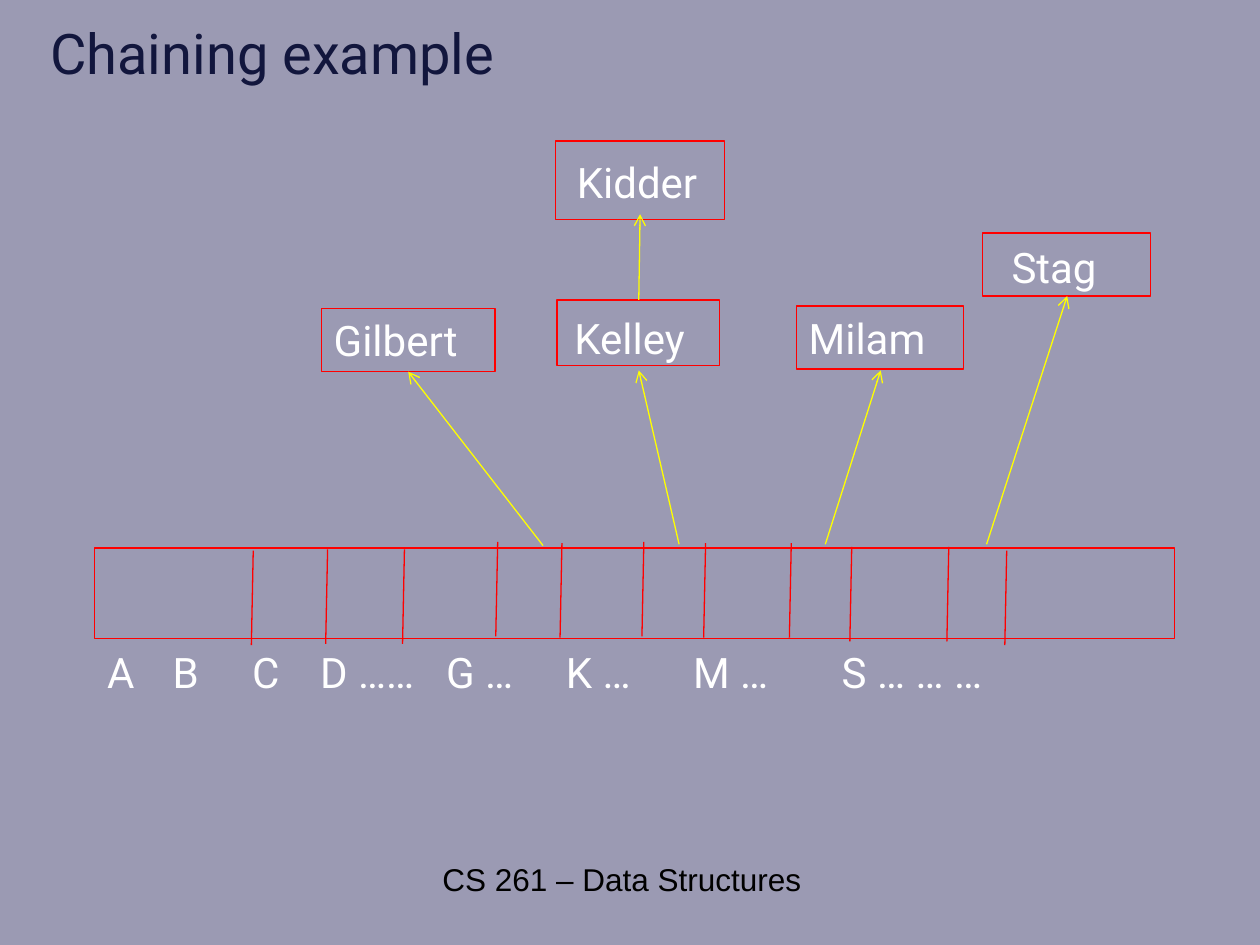
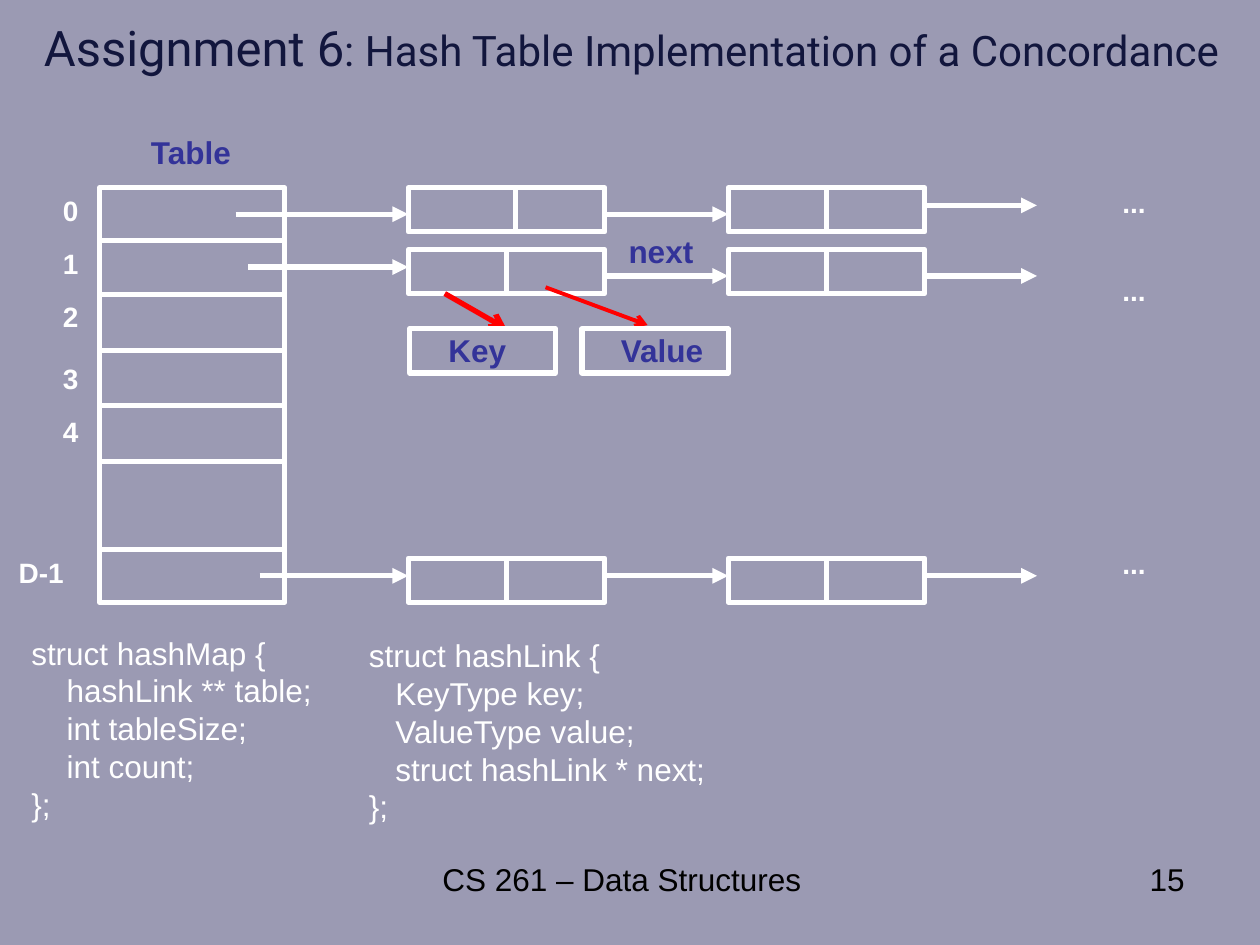
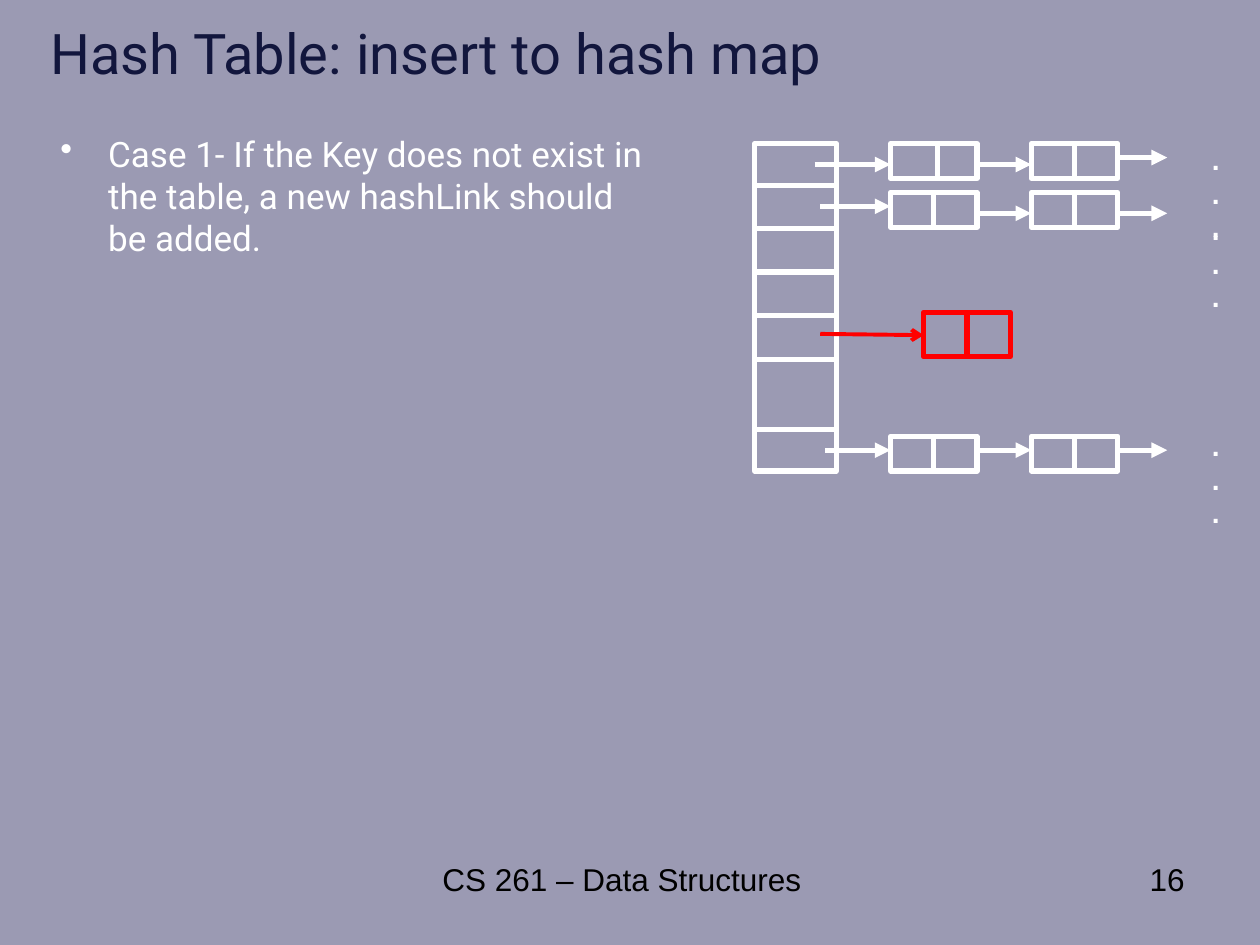
from dataclasses import dataclass

from lxml import etree
from pptx import Presentation
from pptx.dml.color import RGBColor
from pptx.enum.shapes import MSO_CONNECTOR, MSO_SHAPE
from pptx.enum.text import MSO_ANCHOR, PP_ALIGN
from pptx.oxml.ns import qn
from pptx.util import Inches, Pt

RECTANGLE = MSO_SHAPE.RECTANGLE
STRAIGHT = MSO_CONNECTOR.STRAIGHT
TOP, MIDDLE = MSO_ANCHOR.TOP, MSO_ANCHOR.MIDDLE
LEFT, CENTER, RIGHT = PP_ALIGN.LEFT, PP_ALIGN.CENTER, PP_ALIGN.RIGHT


@dataclass(frozen=True)
class Theme:
    background: str = "9B9AB3"
    navy: str = "12163D"
    indigo: str = "333399"
    white: str = "FFFFFF"
    black: str = "000000"
    red: str = "FF0000"
    yellow: str = "FFFF00"
    heading_font: str = "Roboto"
    plain_font: str = "Arial"
    title_size: float = 32
    long_title_size: float = 28
    name_size: float = 24
    body_size: float = 20
    text_size: float = 18
    label_size: float = 16
    thin: float = 0.75
    medium: float = 2.25
    thick: float = 3


THEME = Theme()


def style(font, size, color, bold=False):
    return {"name": font, "size": Pt(size), "bold": bold, "color": color}


TITLE = style(THEME.heading_font, THEME.title_size, THEME.navy)
LONG_TITLE = style(THEME.heading_font, THEME.long_title_size, THEME.navy)
SUBTITLE = style(THEME.heading_font, THEME.name_size, THEME.navy)
NAME = style(THEME.heading_font, THEME.name_size, THEME.white)
BODY = style(THEME.heading_font, THEME.body_size, THEME.white)
FOOTER = style(THEME.plain_font, THEME.text_size, THEME.black)
CODE = style(THEME.plain_font, THEME.text_size, THEME.white)
TERM = style(THEME.plain_font, THEME.text_size, THEME.indigo, True)
LABEL = style(THEME.plain_font, THEME.label_size, THEME.white, True)


@dataclass(frozen=True)
class Frame:
    left: float = 0.79
    top: float = 1.49
    scale_x: float = 1
    scale_y: float = 1

    def x(self, value):
        return self.left + (value - 0.79) * self.scale_x

    def y(self, value):
        return self.top + (value - 1.49) * self.scale_y

    def area(self, left, top, width, height):
        return (self.x(left), self.y(top),
                width * self.scale_x, height * self.scale_y)


def assign(target, values):
    for name, value in values.items():
        setattr(target, name, value)


def add_span(para, text, look):
    span = para.add_run()
    span.text = text
    assign(span.font, {key: look[key] for key in ("name", "size", "bold")})
    span.font.color.rgb = RGBColor.from_string(look["color"])


def add_text(page, area, text, look, align=LEFT, anchor=TOP, wrap=True):
    box = page.shapes.add_textbox(*map(Inches, area))
    assign(box.text_frame, {"word_wrap": wrap, "vertical_anchor": anchor})
    para = box.text_frame.paragraphs[0]
    para.alignment = align
    add_span(para, text, look)
    return box.text_frame


def set_outline(line, color, width):
    line.color.rgb = RGBColor.from_string(color)
    line.width = Pt(width)


def add_box(page, area, color=THEME.white, width=THEME.thick):
    box = page.shapes.add_shape(RECTANGLE, *map(Inches, area))
    box.shadow.inherit = False
    box.fill.background()
    set_outline(box.line, color, width)
    return box


def add_line(page, start, end, color=THEME.white, width=THEME.thick, head=None):
    line = page.shapes.add_connector(STRAIGHT, *map(Inches, (*start, *end)))
    set_outline(line.line, color, width)
    properties = line._element.spPr
    if head:
        etree.SubElement(properties.find(qn("a:ln")), qn("a:tailEnd"), type=head)
    etree.SubElement(properties, qn("a:effectLst"))


def set_indent(para, margin, first_line=0):
    properties = para._p.get_or_add_pPr()
    properties.set("marL", str(Inches(margin)))
    properties.set("indent", str(Inches(first_line)))
    return properties


def add_code(page, area, lines, indent):
    frame = add_text(page, area, lines[0], CODE)
    for text in lines[1:]:
        para = frame.add_paragraph()
        add_span(para, text, CODE)
        if text != "};":
            set_indent(para, indent)


def add_bullet(page, area, text):
    para = add_text(page, area, text, BODY).paragraphs[0]
    para.space_before = Pt(THEME.body_size * 0.2)
    properties = set_indent(para, 0.38, -0.38)
    etree.SubElement(properties, qn("a:buChar"), char="•")


def add_tabbed_row(page, area, stops):
    frame = add_text(page, area, "\t".join(stops), NAME)
    frame.margin_left = Inches(0.18)
    properties = frame.paragraphs[0]._p.get_or_add_pPr()
    tabs = etree.SubElement(properties, qn("a:tabLst"))
    for position in list(stops.values())[1:]:
        etree.SubElement(tabs, qn("a:tab"), pos=str(Inches(position)), algn="l")


def add_page(deck, title, look=TITLE, area=(0.3, 0.08, 9, 0.67), number=None):
    page = deck.slides.add_slide(deck.slide_layouts[6])
    page.background.fill.solid()
    page.background.fill.fore_color.rgb = RGBColor.from_string(THEME.background)
    heading = add_text(page, area, title, look, anchor=MIDDLE)
    add_text(page, (3.04, 6.78, 3.79, 0.52), "CS 261 – Data Structures",
             FOOTER, CENTER)
    if number:
        add_text(page, (7.17, 6.78, 2.33, 0.52), number, FOOTER, RIGHT)
    return page, heading


def add_hash_table(page, frame):
    def link(x, y, split=0.78, width=1.56):
        add_box(page, frame.area(x, y, split, 0.35))
        add_box(page, frame.area(x + split, y, width - split, 0.35))

    def arrow(x1, x2, y):
        add_line(page, (frame.x(x1), frame.y(y)), (frame.x(x2), frame.y(y)),
                 head="triangle")

    add_box(page, frame.area(0.79, 1.49, 1.47, 3.29))
    for y in (1.91, 2.34, 2.78, 3.22, 3.66, 4.36):
        add_line(page, (frame.x(0.79), frame.y(y)), (frame.x(2.26), frame.y(y)))

    rows = [
        (1.49, 0.85, 1.87, 1.70, 1.70, 1.63, 1.42),
        (1.98, 0.78, 1.97, 2.12, 2.19, 2.19, 2.12),
        (4.43, 0.78, 2.06, 4.57, 4.57, 4.57, 4.29),
    ]
    for top, split, start, first_y, next_y, last_y, dots_y in rows:
        link(3.24, top, split)
        link(5.78, top)
        arrow(start, 3.24, first_y)
        arrow(4.8, 5.78, next_y)
        arrow(7.35, 8.23, last_y)
        add_text(page, frame.area(8.81, dots_y, 0.52, 0.31), "...", LABEL)


def chaining_page(deck):
    page, _ = add_page(deck, "Chaining example")
    add_box(page, (0.75, 4.35, 8.57, 0.72), THEME.red, THEME.thin)
    dividers = [(2.01, 4.37), (2.6, 4.36), (3.21, 4.36), (3.95, 4.3),
                (4.46, 4.31), (5.11, 4.3), (5.6, 4.31), (6.28, 4.31),
                (6.76, 4.34), (7.53, 4.34), (7.99, 4.37)]
    for x, y in dividers:
        add_line(page, (x, y), (x - 0.015, y + 0.75), THEME.red, THEME.thin)

    names = [
        ("Kelley", (4.42, 2.38, 1.29, 0.52), (4.46, 2.43, 1.22, 0.5)),
        ("Gilbert", (2.55, 2.45, 1.38, 0.5), (2.55, 2.45, 1.38, 0.5)),
        ("Milam", (6.32, 2.43, 1.33, 0.5), (6.32, 2.43, 1.33, 0.5)),
        ("Stag", (7.8, 1.85, 1.33, 0.5), (7.93, 1.87, 1.26, 0.5)),
        ("Kidder", (4.41, 1.12, 1.34, 0.62), (4.48, 1.19, 1.37, 0.5)),
    ]
    for name, outline, area in names:
        box = add_box(page, outline, THEME.red, THEME.thin)
        if area != outline:
            add_text(page, area, name, NAME)
            continue
        assign(box.text_frame, {"word_wrap": True, "vertical_anchor": TOP})
        para = box.text_frame.paragraphs[0]
        para.alignment = LEFT
        add_span(para, name, NAME)

    arrows = [((5.39, 4.32), (5.07, 2.94)), ((4.31, 4.33), (3.24, 2.95)),
              ((7.83, 4.32), (8.47, 2.35)), ((6.55, 4.32), (6.99, 2.94)),
              ((5.07, 2.38), (5.08, 1.7))]
    for start, end in arrows:
        add_line(page, start, end, THEME.yellow, THEME.thin, "arrow")
    add_tabbed_row(page, (0.67, 5.08, 8.61, 0.5), {
        "A": 0, "B": 0.52, "C": 1.15, "D ……": 1.69, "G …": 2.69,
        "K …": 3.64, "M …": 4.65, "S … … …": 5.83})


def assignment_page(deck):
    page, heading = add_page(deck, "Assignment 6", LONG_TITLE,
                             (0.25, 0, 9.58, 0.75), "15")
    add_span(heading.paragraphs[0],
             ": Hash Table Implementation of a Concordance", SUBTITLE)
    add_hash_table(page, Frame())
    indexes = {"0": 1.49, "1": 1.91, "2": 2.33, "3": 2.82, "4": 3.24}
    for text, y in indexes.items():
        add_text(page, (0.4, y, 0.43, 0.31), text, LABEL, wrap=False)
    add_text(page, (0.05, 4.36, 0.75, 0.31), "D-1", LABEL, wrap=False)
    add_text(page, (1.1, 1.01, 0.84, 0.4), "Table", TERM, wrap=False)
    add_text(page, (4.89, 1.79, 0.72, 0.4), "next", TERM, wrap=False)

    add_code(page, (2.83, 5, 3.34, 1.62),
             ["struct hashLink {", "KeyType key;", "ValueType value;",
              "struct hashLink * next;", "};"], 0.21)
    add_code(page, (0.15, 4.98, 2.68, 1.62),
             ["struct hashMap {", "hashLink ** table;", "int tableSize;",
              "int count;", "};"], 0.28)
    add_line(page, (4.33, 2.28), (5.14, 2.58), THEME.red, THEME.medium, "arrow")
    add_line(page, (3.53, 2.33), (4.02, 2.61), THEME.red, THEME.thick, "arrow")
    for text, x in (("Value", 4.62), ("Key", 3.25)):
        add_box(page, (x, 2.61, 1.16, 0.35))
        add_text(page, (x + 0.21, 2.58, 0.95, 0.4), text, TERM)


def insert_page(deck):
    page, _ = add_page(deck, "Hash Table: insert to hash map", number="16")
    add_bullet(page, (0.38, 1, 4.95, 3.92),
               "Case 1- If the Key does not exist in the table, "
               "a new hashLink should be added.")
    add_hash_table(page, Frame(5.99, 1.14, 0.44, 0.79))
    add_line(page, (6.51, 2.65), (7.33, 2.66), THEME.red, THEME.medium, "arrow")
    for x in (7.33, 7.68):
        add_box(page, (x, 2.48, 0.34, 0.35), THEME.red)


def main():
    deck = Presentation()
    assign(deck, {"slide_width": Inches(10), "slide_height": Inches(7.5)})
    chaining_page(deck)
    assignment_page(deck)
    insert_page(deck)
    deck.save("out.pptx")


main()
